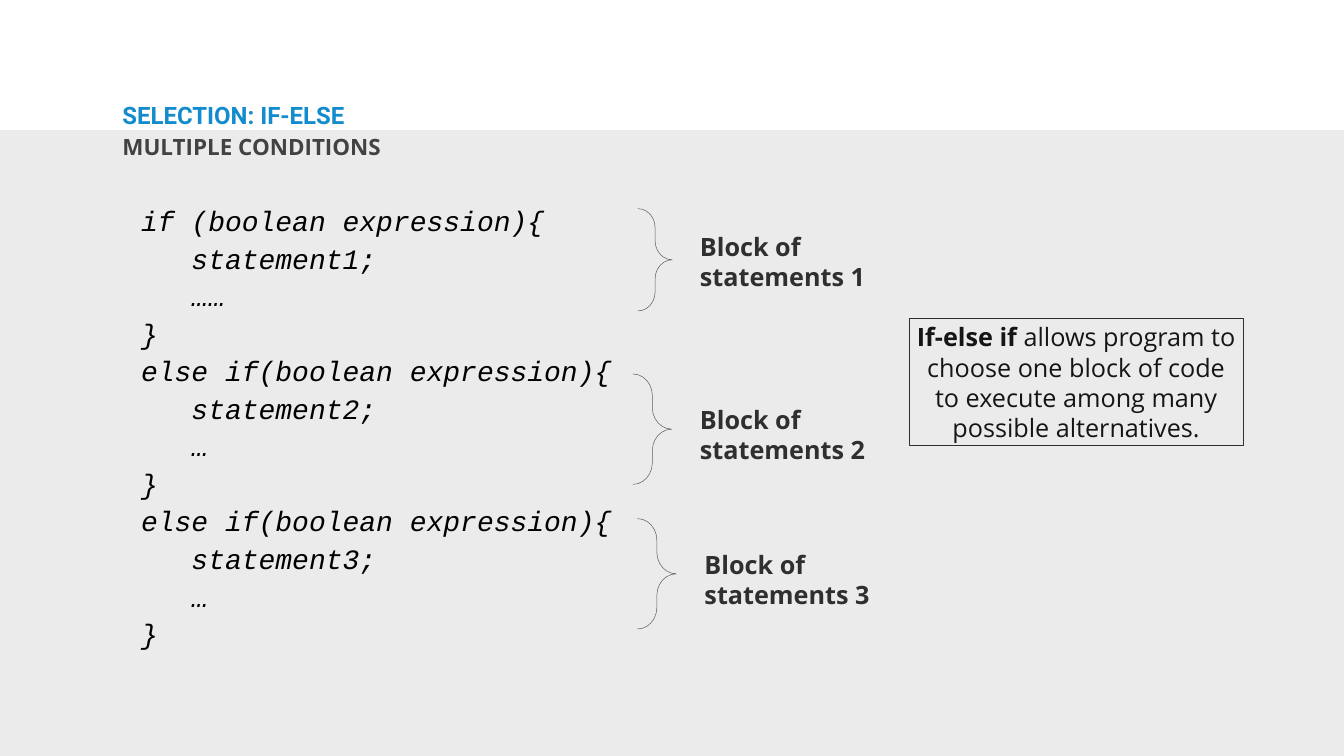
import pptx
import pptx.util
import pptx.dml.color
import pptx.enum.shapes
import pptx.enum.text
import pptx.oxml.ns
import lxml.etree

PX = 9144
COLORS = {
    "band": "EBEBEB",
    "title": "128CCD",
    "sub": "424242",
    "code": "000000",
    "brace": "5E5E5E",
    "label": "2F2F2F",
    "note": "151515",
}
ANCHOR = pptx.enum.text.MSO_ANCHOR
KIND = pptx.enum.shapes.MSO_SHAPE
CODE = [
    "if (boolean expression){", "   statement1;", "   ……", "}",
    "else if(boolean expression){", "   statement2;", "   …", "}",
    "else if(boolean expression){", "   statement3;", "   …", "}",
]
BLOCKS = [
    ((1266, 414, 68, 203), (1383, 453)),
    ((1256, 742, 77, 219), (1383, 796)),
    ((1265, 1029, 77, 219), (1392, 1083)),
]


def color(name):
    return pptx.dml.color.RGBColor.from_string(COLORS[name])


def place(shape, box):
    shape.left, shape.top, shape.width, shape.height = [n * PX for n in box]


def frame(shape, anchor, pad=(6, 6)):
    text = shape.text_frame
    text.word_wrap = True
    text.auto_size = pptx.enum.text.MSO_AUTO_SIZE.NONE
    text.vertical_anchor = anchor
    text.margin_left = text.margin_right = pad[0] * PX
    text.margin_top = text.margin_bottom = pad[1] * PX
    return text


def add_run(para, words, size, face, tint, bold=False, italic=False):
    run = para.add_run()
    run.text = words
    font = run.font
    font.size = pptx.util.Pt(size)
    font.name = face
    font.bold = bold
    font.italic = italic
    font.color.rgb = color(tint)


def plain(para, indent=0, hang=0):
    props = para._p.get_or_add_pPr()
    props.set("marL", str(indent * PX))
    props.set("indent", str(-hang * PX))
    lxml.etree.SubElement(props, pptx.oxml.ns.qn("a:buNone"))
    para.space_before = pptx.util.Pt(0)


def add_shape(slide, kind, box, fill=None, line=None, width=1):
    shape = slide.shapes.add_shape(kind, *[n * PX for n in box])
    shape.shadow.inherit = False
    if fill:
        shape.fill.solid()
        shape.fill.fore_color.rgb = color(fill)
    else:
        shape.fill.background()
    if line:
        shape.line.color.rgb = color(line)
        shape.line.width = pptx.util.Pt(width)
    else:
        shape.line.fill.background()
    return shape


def add_band(slide, box):
    band = add_shape(slide, KIND.RECTANGLE, box, fill="band")
    slide.shapes._spTree.insert(2, band._element)


def add_head(title, sub, box):
    left, top, width, height = box
    place(title, (left, top, width, 56))
    para = frame(title, ANCHOR.MIDDLE).paragraphs[0]
    para.alignment = pptx.enum.text.PP_ALIGN.LEFT
    para.line_spacing = 0.8
    add_run(para, "SELECTION: IF-ELSE", 34.2, "Roboto", "title", bold=True)

    place(sub, (left, top + 60, 1068, height - 60))
    para = frame(sub, ANCHOR.TOP).paragraphs[0]
    plain(para)
    para.line_spacing = 0.9
    add_run(para, "MULTIPLE CONDITIONS", 32, "Open Sans", "sub", bold=True)


def add_code(body, box):
    place(body, box)
    text = frame(body, ANCHOR.TOP)
    for row, words in enumerate(CODE):
        para = text.add_paragraph() if row else text.paragraphs[0]
        plain(para, 62, 25)
        para.line_spacing = 0.9
        if row:
            para.space_before = pptx.util.Pt(10.4)
        add_run(para, words, 40, "Courier New", "code", italic=True)


def add_block(slide, box, spot, num):
    brace = add_shape(slide, KIND.RIGHT_BRACE, box, line="brace", width=0.75)
    brace.adjustments[0] = 0.555
    brace.adjustments[1] = 0.5
    label = slide.shapes.add_textbox(*[n * PX for n in (*spot, 412, 132)])
    para = frame(label, ANCHOR.MIDDLE).paragraphs[0]
    add_run(para, f"Block of statements {num}", 36, "Open Sans", "label", bold=True)


def add_note(slide, box):
    note = add_shape(slide, KIND.RECTANGLE, box, line="label")
    para = frame(note, ANCHOR.MIDDLE, (10, 5)).paragraphs[0]
    para.alignment = pptx.enum.text.PP_ALIGN.CENTER
    add_run(para, "If-else if ", 36, "Open Sans", "note", bold=True)
    add_run(para, "allows program to choose one block of code to execute "
            "among many possible alternatives.", 36, "Open Sans", "note")


def main():
    deck = pptx.Presentation()
    deck.slide_width = 2667 * PX
    deck.slide_height = 1500 * PX
    slide = deck.slides.add_slide(deck.slide_layouts[3])
    title, body, sub = slide.placeholders
    add_band(slide, (0, 258, 2667, 1242))
    add_head(title, sub, (237, 205, 1609, 148))
    add_code(body, (237, 406, 2140, 1040))
    for num, (box, spot) in enumerate(BLOCKS, 1):
        add_block(slide, box, spot, num)
    add_note(slide, (1804, 632, 663, 252))
    deck.save("out.pptx")


if __name__ == "__main__":
    main()
